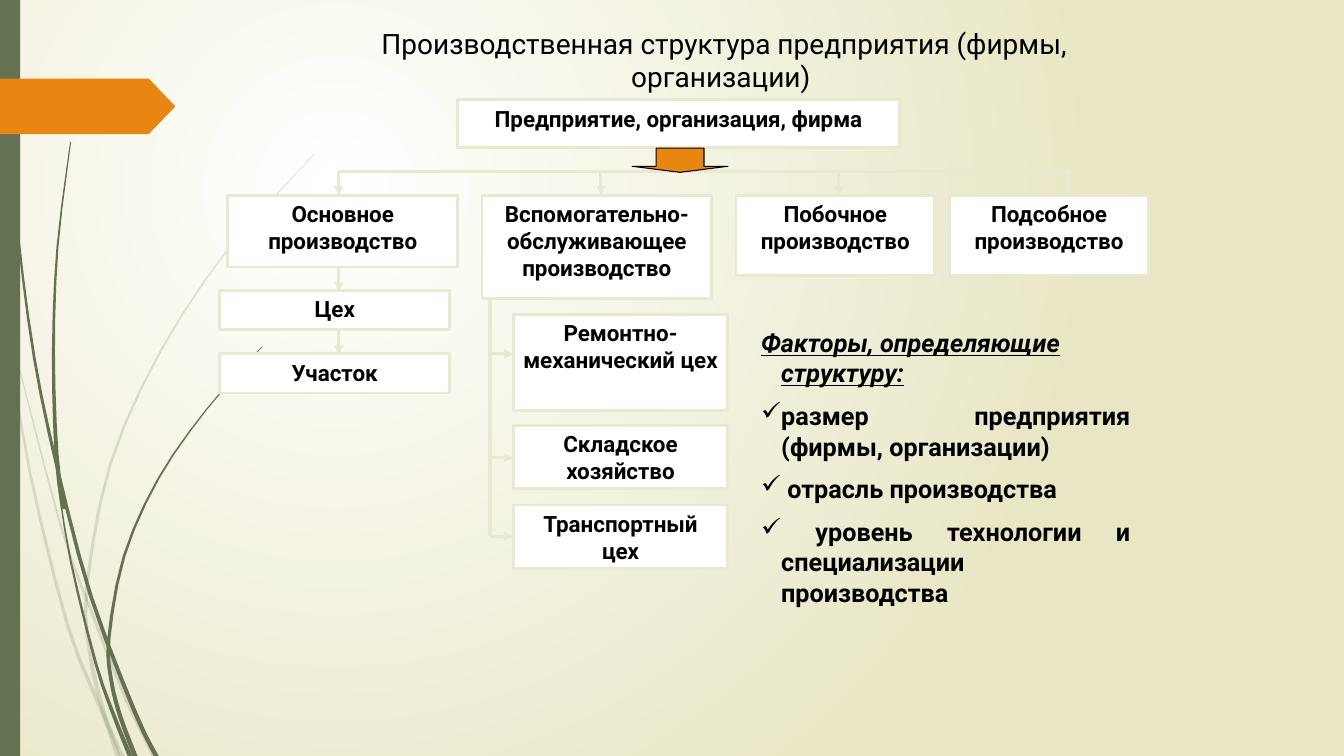
from lxml import etree
from pptx import Presentation
from pptx.dml.color import RGBColor
from pptx.enum import shapes as kinds, text as txt
from pptx.oxml import ns
from pptx.util import Inches, Pt

WHITE = RGBColor(0xFF, 0xFF, 0xFF)
BLACK = RGBColor(0, 0, 0)
GREEN = RGBColor(0x64, 0x72, 0x52)
ORANGE = RGBColor(0xE7, 0x87, 0x12)
CREAM = RGBColor(0xEA, 0xE8, 0xCF)
SAND = RGBColor(0xE8, 0xE6, 0xC4)
FONT = "Roboto"
CURVE_STEPS = 3
TIP, ROOT = 0.01, 0.05

# Centre lines from tip to root, in inches.
PALE_STEMS = [
    [(0, 2.9), (0.1, 3.47), (0.3, 4.7), (0.67, 6.2), (1, 7.03), (1.21, 7.5)],
    [(0.14, 3.45), (0.6, 5.21), (0.9, 6.05), (1.25, 6.93), (1.53, 7.5)],
    [(3.12, 1.53), (2.28, 2.45), (1.59, 3.49), (1.09, 4.62), (0.86, 5.84),
     (0.89, 6.46), (1, 6.97), (1.17, 7.5)],
]
DARK_STEMS = [
    [(0.04, 0), (0.08, 1.1), (0.18, 2.33), (0.34, 3.55), (0.57, 4.65),
     (0.9, 5.91), (1.34, 7.07), (1.55, 7.5)],
    [(0.57, 4.77), (0.7, 5.56), (0.95, 6.58), (1.13, 7.1), (1.29, 7.5)],
    [(0.7, 1.41), (0.57, 2.45), (0.53, 3.49), (0.56, 4.5), (0.63, 5.05)],
    [(2.6, 3.44), (2.05, 4.06), (1.57, 4.75), (1.23, 5.52), (1.08, 6.33),
     (1.1, 6.73), (1.19, 7.1), (1.34, 7.5)],
]

UNITS = [
    ("Предприятие, организация, фирма", 4.54, 0.99, 4.38, 0.47),
    ("Основное производство", 2.26, 1.94, 2.28, 0.71),
    ("Цех", 2.18, 2.88, 2.28, 0.39),
    ("Участок", 2.18, 3.51, 2.28, 0.39),
    ("Вспомогательно-обслуживающее производство", 4.78, 1.94, 2.28, 1.02),
    ("Ремонтно-механический цех", 5.09, 3.12, 2.13, 0.95),
    ("Складское хозяйство", 5.09, 4.22, 2.13, 0.63),
    ("Транспортный цех", 5.09, 5.01, 2.13, 0.63),
    ("Побочное производство", 7.3, 1.94, 1.97, 0.79),
    ("Подсобное производство", 9.42, 1.94, 1.97, 0.79),
]
FACTORS = ["размер предприятия (фирмы, организации)", " отрасль производства",
           " уровень технологии и специализации производства"]


def sub(parent, tag, **attributes):
    return etree.SubElement(parent, ns.qn(tag), attributes)


def paint_background(slide):
    """Radial gradient centred a quarter of the way in from the top left."""
    fill = slide.background.fill
    fill.gradient()
    for stop, color, position in zip(fill.gradient_stops, (WHITE, SAND), (0, 1)):
        stop.color.rgb = color
        stop.position = position
    gradient = slide.background._cSld.find(".//" + ns.qn("a:gradFill"))
    gradient.remove(gradient.find(ns.qn("a:lin")))
    circle = sub(gradient, "a:path", path="circle")
    sub(circle, "a:fillToRect", l="50000", t="50000", r="100000", b="100000")


def smooth_line(knots):
    """Points of a Catmull-Rom curve through the knots."""
    ends = [knots[0], *knots, knots[-1]]
    points = [knots[0]]
    for a, b, c, d in zip(ends, ends[1:], ends[2:], ends[3:]):
        for step in range(1, CURVE_STEPS + 1):
            t = step / CURVE_STEPS
            points.append(tuple(
                q + t * (r - p + t * (2 * p - 5 * q + 4 * r - s
                                      + t * (3 * q - p - 3 * r + s))) / 2
                for p, q, r, s in zip(a, b, c, d)))
    return points


def add_stem(slide, knots, alpha=None):
    """A stem that widens evenly from tip to root."""
    line = smooth_line(knots)
    left, right = [], []
    for i, (x, y) in enumerate(line):
        half = (TIP + (ROOT - TIP) * i / (len(line) - 1)) / 2
        left.append((Inches(x - half), Inches(y)))
        right.append((Inches(x + half), Inches(y)))
    builder = slide.shapes.build_freeform(*left[0])
    builder.add_line_segments(left[1:] + right[::-1], close=True)
    stem = builder.convert_to_shape()
    finish(stem, GREEN)
    if alpha:
        sub(stem._element.spPr.find(".//" + ns.qn("a:srgbClr")), "a:alpha", val=alpha)


def finish(shape, fill, line=None, width=0):
    shape.shadow.inherit = False
    shape.fill.solid()
    shape.fill.fore_color.rgb = fill
    if line is None:
        shape.line.fill.background()
    else:
        shape.line.color.rgb = line
        shape.line.width = Pt(width)


def add_block(slide, preset, place, fill, line=None, width=0):
    block = slide.shapes.add_shape(preset, *map(Inches, place))
    finish(block, fill, line, width)
    return block


def write(paragraph, wording, size, align, bold=True, emphasis=False):
    paragraph.alignment = align
    run = paragraph.add_run()
    run.text = wording
    font = run.font
    font.name, font.size, font.bold = FONT, Pt(size), bold
    font.italic = font.underline = emphasis
    font.color.rgb = BLACK


def add_text_frame(slide, *place):
    frame = slide.shapes.add_textbox(*map(Inches, place)).text_frame
    frame.word_wrap = True
    return frame


def add_unit(slide, wording, *place):
    frame = add_block(slide, kinds.MSO_SHAPE.RECTANGLE, place, WHITE, CREAM, 2).text_frame
    frame.word_wrap = True
    frame.vertical_anchor = txt.MSO_ANCHOR.TOP
    write(frame.paragraphs[0], wording, 16, txt.PP_ALIGN.CENTER)


def add_link(slide, x1, y1, x2, y2, arrow=True):
    link = slide.shapes.add_connector(kinds.MSO_CONNECTOR.STRAIGHT,
                                      *map(Inches, (x1, y1, x2, y2)))
    link.line.color.rgb = CREAM
    link.line.width = Pt(2.25)
    if arrow:
        sub(link.line._get_or_add_ln(), "a:tailEnd", type="triangle")
    sub(link._element.spPr, "a:effectLst")


def add_factors(slide):
    frame = add_text_frame(slide, 7.45, 3.2, 3.86, 2.96)
    write(frame.paragraphs[0], "Факторы, определяющие структуру:", 18,
          txt.PP_ALIGN.LEFT, emphasis=True)
    for factor in FACTORS:
        paragraph = frame.add_paragraph()
        paragraph.space_before = Pt(9)
        write(paragraph, factor, 18, txt.PP_ALIGN.JUSTIFY)
        sub(paragraph._p.get_or_add_pPr(), "a:buChar", char="✓")
    for paragraph in frame.paragraphs:
        properties = paragraph._p.get_or_add_pPr()
        properties.set("marL", str(Inches(0.2)))
        properties.set("indent", str(Inches(-0.2)))


def main():
    deck = Presentation()
    deck.slide_width, deck.slide_height = Inches(13.33), Inches(7.5)
    slide = deck.slides.add_slide(deck.slide_layouts[6])
    paint_background(slide)
    for knots in PALE_STEMS:
        add_stem(slide, knots, alpha="20000")
    for knots in DARK_STEMS:
        add_stem(slide, knots)
    add_block(slide, kinds.MSO_SHAPE.RECTANGLE, (0, 0, 0.2, 7.5), GREEN)
    tag = add_block(slide, kinds.MSO_SHAPE.PENTAGON, (0, 0.78, 1.74, 0.55), ORANGE)
    tag.adjustments[0] = 0.48

    title = add_text_frame(slide, 2.97, 0.21, 8.43, 0.77)
    write(title.paragraphs[0], "Производственная структура предприятия (фирмы, организации) ",
          20, txt.PP_ALIGN.CENTER, bold=False)
    for unit in UNITS:
        add_unit(slide, *unit)

    for top in (2.65, 3.28):
        add_link(slide, 3.36, top, 3.36, top + 0.24)
    add_link(slide, 4.86, 2.96, 4.86, 5.32, arrow=False)
    for y in (3.51, 4.54, 5.32):
        add_link(slide, 4.86, y, 5.09, y)
    add_link(slide, 3.36, 1.7, 10.6, 1.7, arrow=False)
    down = add_block(slide, kinds.MSO_SHAPE.DOWN_ARROW, (6.27, 1.47, 0.95, 0.24),
                     ORANGE, BLACK, 0.75)
    down.adjustments[0], down.adjustments[1] = 0.5, 0.25
    for x in (3.36, 5.96, 8.32, 10.6):
        add_link(slide, x, 1.7, x, 1.94)
    add_factors(slide)
    deck.save("out.pptx")


if __name__ == "__main__":
    main()
